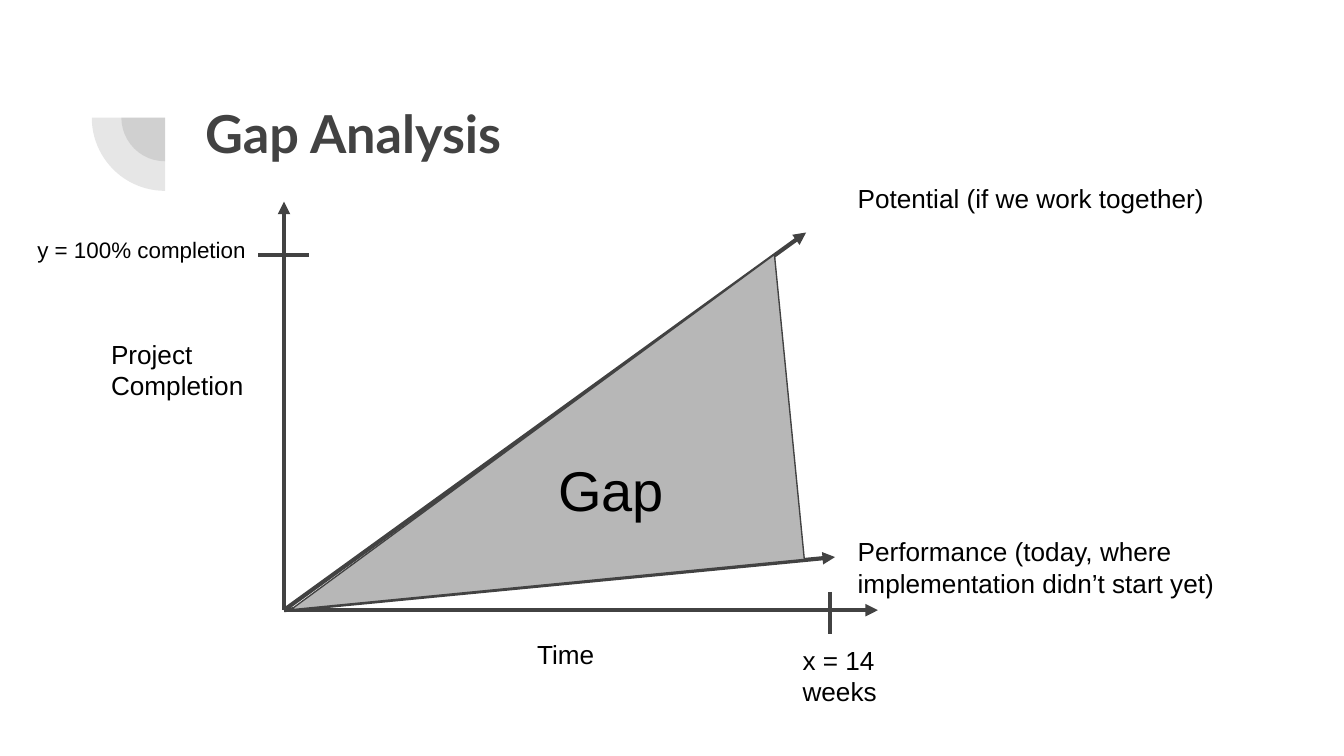
from collections import namedtuple

from lxml import etree
from pptx import Presentation
from pptx.dml.color import RGBColor
from pptx.enum.shapes import MSO_CONNECTOR, MSO_SHAPE
from pptx.enum.text import MSO_ANCHOR, PP_ALIGN
from pptx.oxml.ns import qn
from pptx.util import Inches, Pt

STRAIGHT = MSO_CONNECTOR.STRAIGHT
PIE = MSO_SHAPE.PIE
RIGHT_TRIANGLE = MSO_SHAPE.RIGHT_TRIANGLE
TOP = MSO_ANCHOR.TOP
LEFT = PP_ALIGN.LEFT

COLORS = {"ink": "424242", "gap": "B7B7B7", "label": "000000"}
SLIDE_WIDTH = 10
SLIDE_HEIGHT = SLIDE_WIDTH * 9 / 16
CELL = SLIDE_WIDTH / 100  # one column or row of the square grid, in inches

Box = namedtuple("Box", "left top width height")
HEADER = Box(6.83, 3.3, 84.37, 14.1)
CHART = Box(21.13, 15, 44.2, 30.4)


def cells(count):
    return Inches(count * CELL)


def frame(box):
    return [cells(length) for length in box]


def color(name):
    return RGBColor.from_string(COLORS[name])


def add_label(slide, box, text, size, font="Arial", ink="label", bold=False):
    text_frame = slide.shapes.add_textbox(*frame(box)).text_frame
    text_frame.word_wrap = True
    text_frame.vertical_anchor = TOP
    text_frame.margin_left = text_frame.margin_right = cells(1)
    text_frame.margin_top = text_frame.margin_bottom = cells(1)
    paragraph = text_frame.paragraphs[0]
    paragraph.alignment = LEFT
    run = paragraph.add_run()
    run.text = text
    run.font.name = font
    run.font.size = Pt(size)
    run.font.bold = bold
    run.font.color.rgb = color(ink)


def add_filled_shape(slide, kind, box, fill, rotation):
    shape = slide.shapes.add_shape(kind, *frame(box))
    shape.shadow.inherit = False
    shape.rotation = rotation
    shape.fill.solid()
    shape.fill.fore_color.rgb = color(fill)
    return shape


def add_line(slide, start, end, arrow=False):
    points = [cells(length) for length in (*start, *end)]
    connector = slide.shapes.add_connector(STRAIGHT, *points)
    connector.line.color.rgb = color("ink")
    connector.line.width = Pt(2.25)
    if arrow:
        line = connector.line._get_or_add_ln()
        etree.SubElement(line, qn("a:tailEnd"), type="triangle")
    etree.SubElement(connector._element.spPr, qn("a:effectLst"))


def add_header(slide, box):
    """Title beside two concentric, see-through quarter circles."""
    outer = 10.9
    for size in (6.5, outer):
        inset = (outer - size) / 2
        quarter = add_filled_shape(
            slide, PIE, Box(box.left + inset, box.top + inset, size, size), "ink", 270)
        quarter.adjustments[0] = 108
        quarter.adjustments[1] = 162
        quarter.line.fill.background()
        tint = quarter._element.spPr.find(".//" + qn("a:srgbClr"))
        etree.SubElement(tint, qn("a:alpha"), val="13000")

    indent, drop = 7.45, 3.2
    title = Box(box.left + indent, box.top + drop, box.width - indent, box.height - drop)
    add_label(slide, title, "Gap Analysis", 28, "Lato", "ink", bold=True)


def add_gap_chart(slide, box):
    """Arrows, ticks, labels and wedge, measured right and up from the origin."""
    def point(right, up):
        return box.left + right, box.top + box.height - up

    arrow_tips = [
        (0, box.height),  # completion axis
        (box.width, 0),   # time axis
        (41, 3.95),       # performance
        (38.85, 28.1),    # potential
    ]
    for tip in arrow_tips:
        add_line(slide, point(0, 0), point(*tip), arrow=True)

    ticks = [((40.6, 1.35), (40.6, -1.8)), ((-1.9, 26.4), (1.9, 26.4))]
    for start, end in ticks:
        add_line(slide, point(*start), point(*end))

    wedge = add_filled_shape(
        slide, RIGHT_TRIANGLE, Box(*point(7.1, 32.45), 22.8, 38.4), "gap", 264.4)
    wedge.line.color.rgb = color("ink")
    wedge.line.width = Pt(0.75)

    labels = [
        ("Time", 14, (17.85, -1.1), (26.3, 3.4)),
        ("Project Completion", 14, (-13.85, 21.25), (13, 5.5)),
        ("Potential (if we work together)", 14, (41.7, 32.8), (31.3, 4.8)),
        ("Performance (today, where implementation didn’t start yet)", 14,
         (41.7, 6.55), (35.9, 3.8)),
        ("x = 14 weeks", 14, (37.6, -1.55), (12.5, 2.6)),
        ("y = 100% completion", 12, (-19.33, 28.8), (22, 4.8)),
        ("Gap", 30, (19.43, 12.5), (18.9, 4.8)),
    ]
    for text, size, corner, extent in labels:
        add_label(slide, Box(*point(*corner), *extent), text, size)


def main():
    presentation = Presentation()
    presentation.slide_width = Inches(SLIDE_WIDTH)
    presentation.slide_height = Inches(SLIDE_HEIGHT)
    slide = presentation.slides.add_slide(presentation.slide_layouts[6])
    add_header(slide, HEADER)
    add_gap_chart(slide, CHART)
    presentation.save("out.pptx")


if __name__ == "__main__":
    main()
